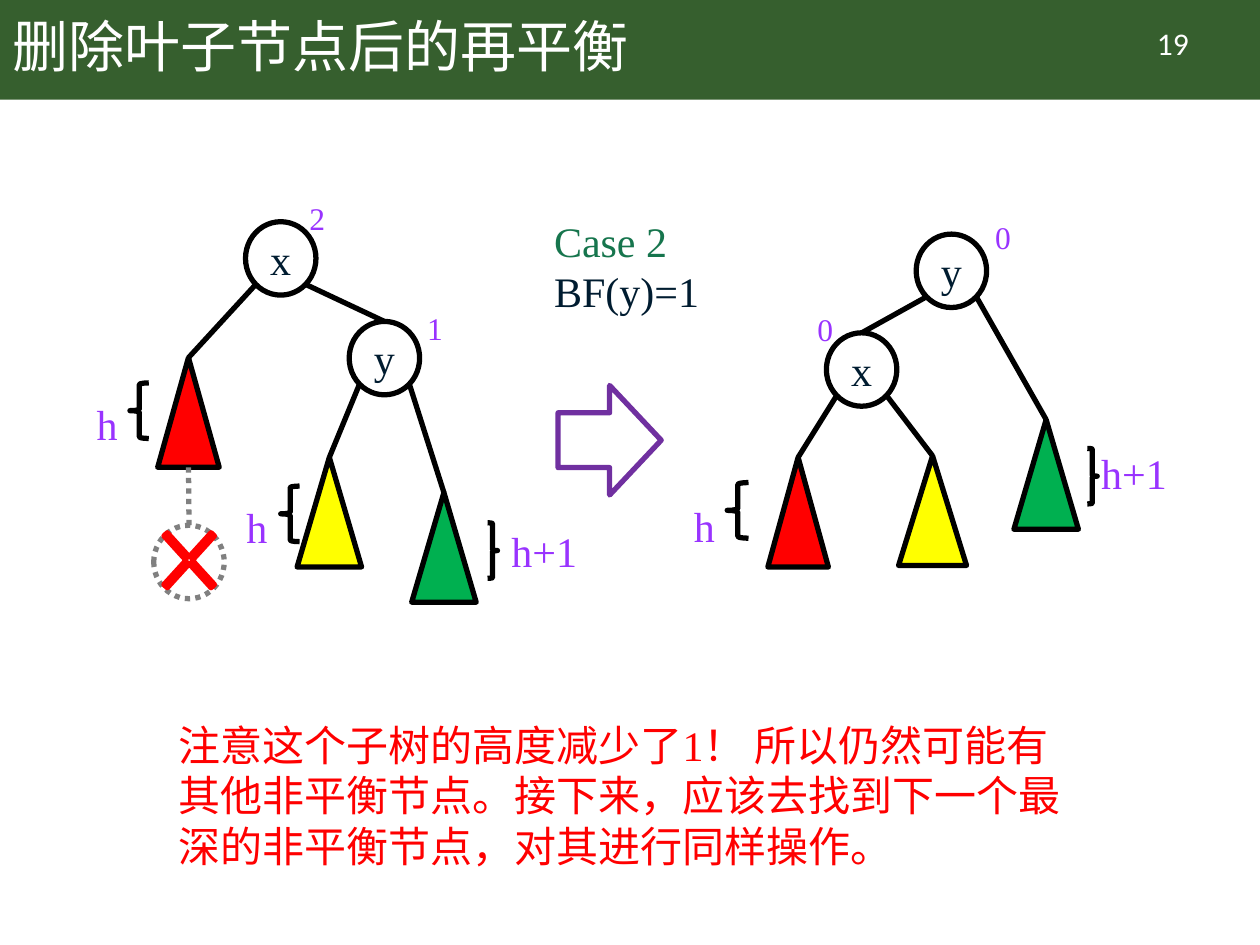
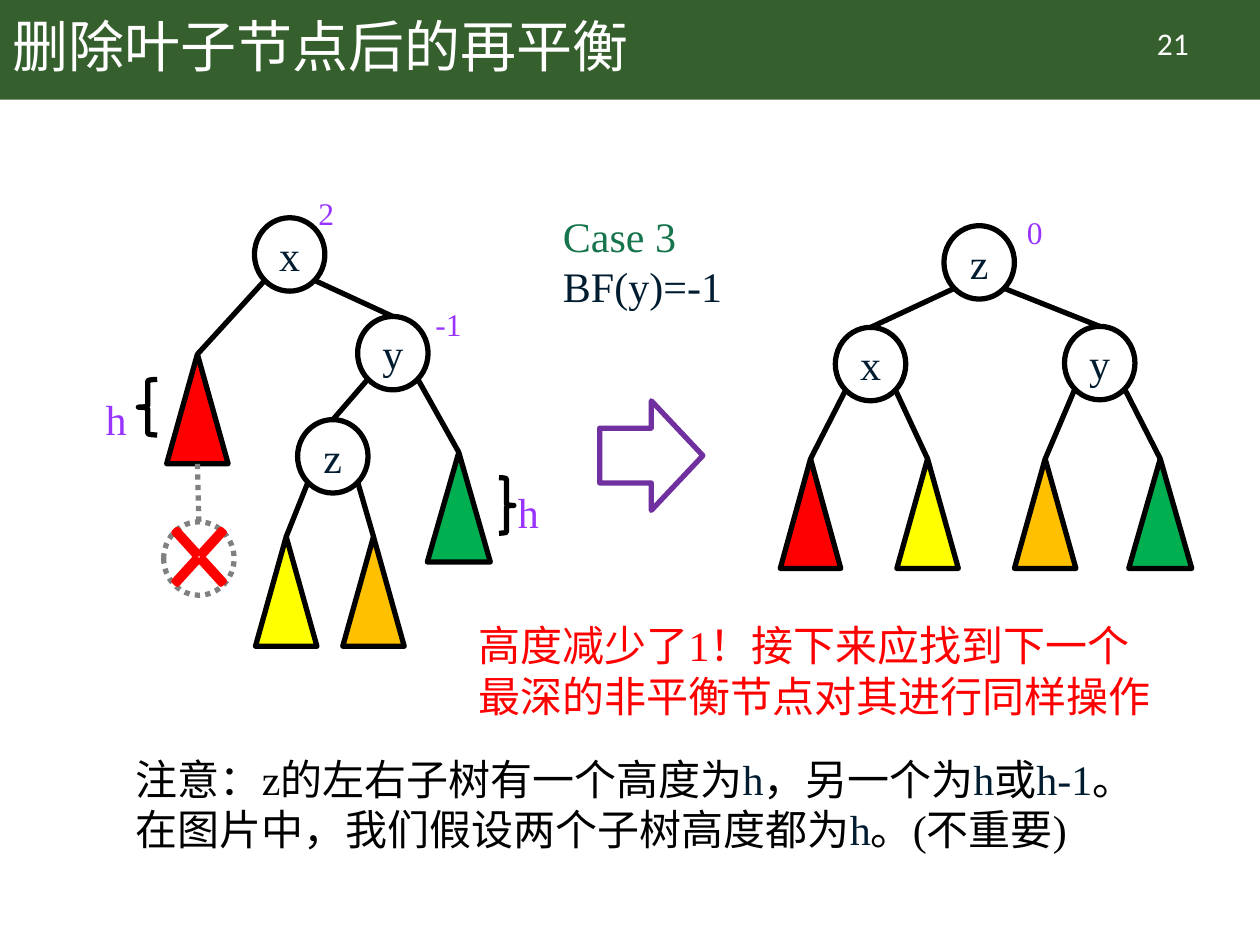
"""Build two slides on rebalancing an AVL tree after a leaf is deleted."""
from lxml.etree import SubElement
from math import sqrt
from pptx import Presentation
from pptx.dml.color import RGBColor
from pptx.enum.dml import MSO_LINE
from pptx.enum.shapes import MSO_CONNECTOR, MSO_SHAPE
from pptx.enum.text import MSO_ANCHOR, PP_ALIGN
from pptx.oxml.ns import qn
from pptx.util import Cm, Pt

BLACK = RGBColor(0x00, 0x00, 0x00)
WHITE = RGBColor(0xFF, 0xFF, 0xFF)
BAND_GREEN = RGBColor(0x36, 0x5F, 0x2E)
CASE_GREEN = RGBColor(0x16, 0x75, 0x4D)
NAVY = RGBColor(0x00, 0x1C, 0x30)
VIOLET = RGBColor(0x99, 0x33, 0xFF)
PURPLE = RGBColor(0x70, 0x30, 0xA0)
GREY = RGBColor(0x80, 0x80, 0x80)
RED = RGBColor(0xFF, 0x00, 0x00)
SUBTREE_COLORS = {
    "red": RED,
    "yellow": RGBColor(0xFF, 0xFF, 0x00),
    "orange": RGBColor(0xFF, 0xC0, 0x00),
    "green": RGBColor(0x00, 0xB0, 0x50),
}

TITLE = "删除叶子节点后的再平衡"
HEADING_FONT, BODY_FONT = "Calibri", "Times New Roman"
BAND_HEIGHT = 2.01
NODE_WIDTH, NODE_HEIGHT = 1.42, 1.48
SUBTREE_HEIGHT = 2.21
BRACE_HEIGHT = 1.12
BRACES = {"left": MSO_SHAPE.LEFT_BRACE, "right": MSO_SHAPE.RIGHT_BRACE}

CASES = [
    {
        "page": "19",
        "case": ("Case 2", "BF(y)=1", 10.92, 4.22),
        "arrow": (11.25, 7.77),
        "deleted": (3.81, 10.59),
        "trees": [
            {
                "nodes": {"x": (5.66, 4.47), "y": (7.75, 6.48)},
                "subtrees": {"red": (3.8, 7.21, 1.24), "yellow": (6.64, 9.22, 1.3),
                             "green": (8.95, 9.93, 1.3)},
                "children": {"x": ("red", "y"), "y": ("yellow", "green")},
            },
            {
                "nodes": {"x": (17.37, 6.71), "y": (19.18, 4.72)},
                "subtrees": {"red": (16.09, 9.22, 1.22), "yellow": (18.8, 9.19, 1.37),
                             "green": (21.09, 8.46, 1.3)},
                "children": {"y": ("x", "green"), "x": ("red", "yellow")},
            },
        ],
        "balances": [("2", 5.99, 3.89), ("1", 8.36, 6.1),
                     ("0", 16.23, 6.12), ("0", 19.81, 4.27)],
        "braces": [("left", 2.62, 7.72, 0.38), ("left", 5.66, 9.8, 0.38),
                   ("right", 9.83, 10.54, 0.2), ("left", 14.66, 9.73, 0.43),
                   ("right", 21.92, 9.04, 0.2)],
        "heights": [("h", 1.7, 7.9), ("h", 4.72, 9.98), ("h+1", 10.06, 10.46),
                    ("h", 13.74, 9.96), ("h+1", 21.95, 8.89)],
        "notes": [
            ((3.35, 14.38, 18.34, 3.33),
             [[("注意这个子树的高度减少了1！ 所以仍然可能有其他非平衡节点。"
                "接下来，应该去找到下一个最深的非平衡节点，对其进行同样操作。", RED)]]),
        ],
    },
    {
        "page": "21",
        "case": ("Case 3", "BF(y)=-1", 11.1, 4.11),
        "arrow": (12.09, 8.08),
        "deleted": (4.01, 10.52),
        "trees": [
            {
                "nodes": {"x": (5.84, 4.39), "y": (7.92, 6.38), "z": (6.71, 8.46)},
                "subtrees": {"red": (3.98, 7.14, 1.24), "yellow": (5.77, 10.82, 1.24),
                             "orange": (7.53, 10.82, 1.24), "green": (9.25, 9.12, 1.27)},
                "children": {"x": ("red", "y"), "y": ("z", "green"),
                             "z": ("yellow", "orange")},
            },
            {
                "nodes": {"x": (17.55, 6.6), "y": (22.17, 6.58), "z": (19.74, 4.55)},
                "subtrees": {"red": (16.34, 9.25, 1.22), "yellow": (18.7, 9.25, 1.24),
                             "orange": (21.07, 9.25, 1.24), "green": (23.39, 9.25, 1.27)},
                "children": {"z": ("x", "y"), "x": ("red", "yellow"),
                             "y": ("orange", "green")},
            },
        ],
        "balances": [("2", 6.17, 3.78), ("-1", 8.53, 6.02), ("0", 20.45, 4.17)],
        "braces": [("left", 2.79, 7.65, 0.38), ("right", 10.06, 9.63, 0.3)],
        "heights": [("h", 1.88, 7.8), ("h", 10.19, 9.68)],
        "notes": [
            ((2.49, 15.06, 21.01, 2.31),
             [[("注意：z的左右子树有一个高度为", BLACK), ("h", NAVY), ("，另一个为", BLACK),
               ("h", NAVY), ("或", BLACK), ("h-1", NAVY), ("。", BLACK)],
              [("在图片中，我们假设两个子树高度都为", BLACK), ("h", NAVY),
               ("。(不重要)", BLACK)]]),
            ((9.4, 12.37, 14.1, 2.31),
             [[("高度减少了1！接下来应找到下一个最深的非平衡节点对其进行同样操作", RED)]]),
        ],
    },
]


def write(box, paragraphs, size=24, font=BODY_FONT, align=PP_ALIGN.LEFT):
    """Fill a box with paragraphs of (text, colour) runs."""
    frame = box.text_frame
    frame.word_wrap = True
    for index, pieces in enumerate(paragraphs):
        paragraph = frame.add_paragraph() if index else frame.paragraphs[0]
        paragraph.alignment = align
        for text, color in pieces:
            run = paragraph.add_run()
            run.text = text
            run.font.size = Pt(size)
            run.font.name = font
            run.font.color.rgb = color
    return frame


def draw(shapes, kind, left, top, width, height, fill=None, line=BLACK):
    """Add a preset shape with a 3 pt outline."""
    shape = shapes.add_shape(kind, Cm(left), Cm(top), Cm(width), Cm(height))
    shape.shadow.inherit = False
    if fill is None:
        shape.fill.background()
    else:
        shape.fill.solid()
        shape.fill.fore_color.rgb = fill
    shape.line.color.rgb = line
    shape.line.width = Pt(3)
    return shape


deck = Presentation()
deck.slide_width, deck.slide_height = Cm(25.4), Cm(19.05)

for case in CASES:
    shapes = deck.slides.add_slide(deck.slide_layouts[6]).shapes

    band = draw(shapes, MSO_SHAPE.RECTANGLE, 0, 0, 25.4, BAND_HEIGHT, BAND_GREEN)
    band.line.fill.background()
    page = shapes.add_textbox(Cm(22.12), Cm(0.36), Cm(3.05), Cm(1.02))
    write(page, [[(case["page"], WHITE)]], 18, HEADING_FONT, PP_ALIGN.CENTER)
    title = shapes.add_textbox(Cm(0), Cm(0), Cm(21.89), Cm(BAND_HEIGHT))
    title_frame = write(title, [[(TITLE, WHITE)]], 32, HEADING_FONT)
    title_frame.vertical_anchor = MSO_ANCHOR.MIDDLE
    title_frame.paragraphs[0].line_spacing = 0.9

    links = []
    for tree in case["trees"]:
        parts = {}
        for label, (center, top) in tree["nodes"].items():
            node = draw(shapes, MSO_SHAPE.OVAL, center - NODE_WIDTH / 2, top,
                        NODE_WIDTH, NODE_HEIGHT)
            frame = write(node, [[(label, NAVY)]], align=PP_ALIGN.CENTER)
            frame.vertical_anchor = MSO_ANCHOR.MIDDLE
            frame.margin_left = frame.margin_right = 0
            frame.margin_top = frame.margin_bottom = 0
            parts[label] = node
        for color, (center, top, width) in tree["subtrees"].items():
            parts[color] = draw(shapes, MSO_SHAPE.ISOSCELES_TRIANGLE, center - width / 2,
                                top, width, SUBTREE_HEIGHT, SUBTREE_COLORS[color])
        for parent, children in tree["children"].items():
            center, top = tree["nodes"][parent]
            start_y = top + NODE_HEIGHT / 2 * (1 + sqrt(0.5))
            for side, child in zip((-1, 1), children):
                start_x = center + side * NODE_WIDTH / 2 * sqrt(0.5)
                links.append((start_x, start_y, parts[child], BLACK, MSO_LINE.SOLID))

    center, top = case["deleted"]
    deleted = draw(shapes, MSO_SHAPE.OVAL, center - NODE_WIDTH / 2, top,
                   NODE_WIDTH, NODE_HEIGHT, line=GREY)
    deleted.line.dash_style = MSO_LINE.ROUND_DOT
    red_center, red_top, _ = case["trees"][0]["subtrees"]["red"]
    links.append((red_center, red_top + SUBTREE_HEIGHT, deleted, GREY, MSO_LINE.ROUND_DOT))

    for start_x, start_y, child, color, dash in links:
        link = shapes.add_connector(MSO_CONNECTOR.STRAIGHT, Cm(start_x), Cm(start_y), 0, 0)
        link.end_connect(child, 0)
        link.line.color.rgb = color
        link.line.width = Pt(3)
        link.line.dash_style = dash
        SubElement(link._element.spPr, qn("a:effectLst"))

    cross = draw(shapes, MSO_SHAPE.MATH_MULTIPLY, center - 0.91, top - 0.3, 1.83, 2.01,
                 WHITE, RED)
    cross.adjustments[0] = 0.051

    for side, left, top, width in case["braces"]:
        draw(shapes, BRACES[side], left, top, width, BRACE_HEIGHT)
    for text, left, top in case["heights"]:
        height_label = shapes.add_textbox(Cm(left), Cm(top), Cm(0.64 + 0.48 * len(text)), Cm(1.27))
        write(height_label, [[(text, VIOLET)]])
    for text, left, top in case["balances"]:
        balance = shapes.add_textbox(Cm(left), Cm(top), Cm(1.12), Cm(1.02))
        write(balance, [[(text, VIOLET)]], 18)

    name, condition, left, top = case["case"]
    case_label = shapes.add_textbox(Cm(left), Cm(top), Cm(4.01), Cm(2.31))
    write(case_label, [[(name, CASE_GREEN)], [(condition, NAVY)]])
    draw(shapes, MSO_SHAPE.RIGHT_ARROW, *case["arrow"], 2.08, 2.21, line=PURPLE)

    for place, paragraphs in case["notes"]:
        note = shapes.add_textbox(*map(Cm, place))
        write(note, paragraphs)

deck.save("out.pptx")
